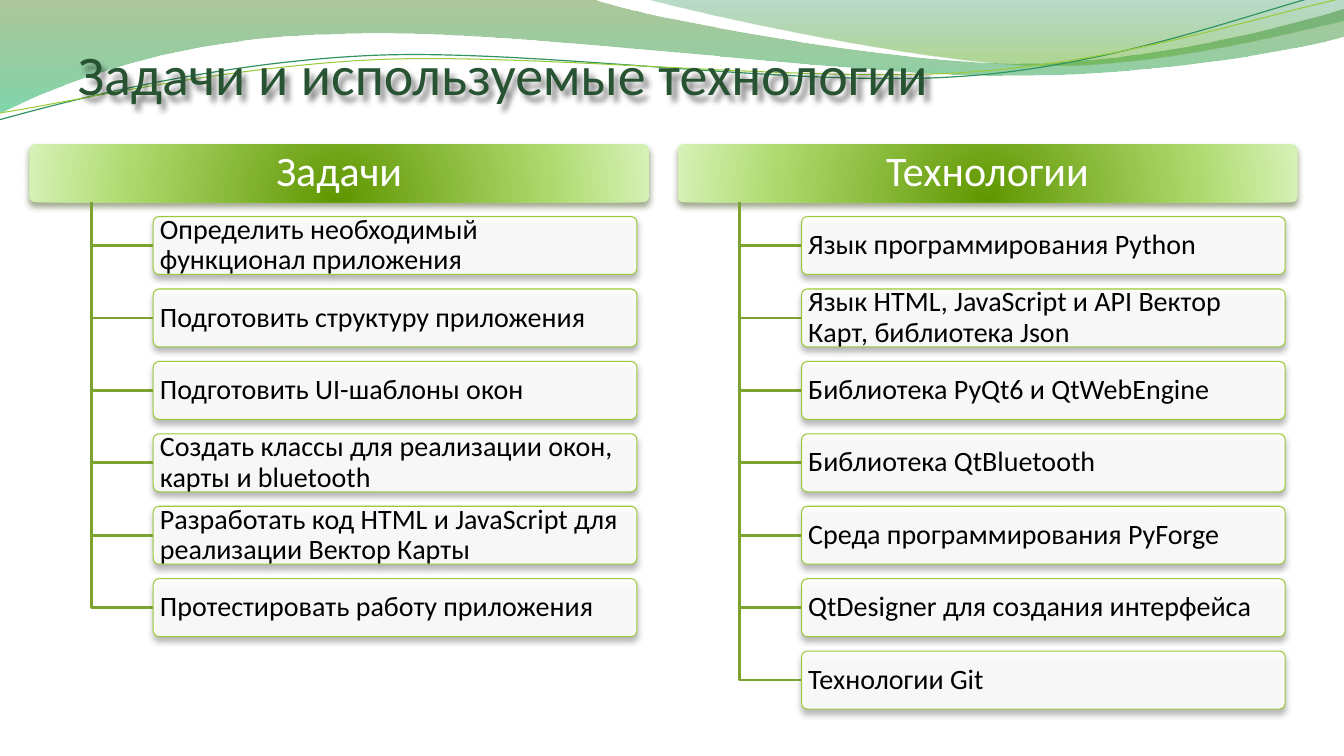
from math import cos, radians, sin

from lxml import etree
from pptx import Presentation
from pptx.dml.color import RGBColor
from pptx.enum.shapes import MSO_SHAPE as Shape
from pptx.enum.text import MSO_ANCHOR as Anchor, MSO_AUTO_SIZE as AutoSize, PP_ALIGN as Align
from pptx.oxml import parse_xml
from pptx.oxml.ns import qn
from pptx.util import Inches, Pt

TITLE = "Задачи и используемые технологии"
COLUMNS = [
    ("Задачи", [
        "Определить необходимый функционал приложения",
        "Подготовить структуру приложения",
        "Подготовить UI-шаблоны окон",
        "Создать классы для реализации окон, карты и bluetooth",
        "Разработать код HTML и JavaScript для реализации Вектор Карты",
        "Протестировать работу приложения",
    ]),
    ("Технологии", [
        "Язык программирования Python",
        "Язык HTML, JavaScript и API Вектор Карт, библиотека Json",
        "Библиотека PyQt6 и QtWebEngine",
        "Библиотека QtBluetooth",
        "Среда программирования PyForge",
        "QtDesigner для создания интерфейса",
        "Технологии Git",
    ]),
]

FONT = "Calibri"
WHITE = RGBColor(0xFF, 0xFF, 0xFF)
BLACK = RGBColor(0x00, 0x00, 0x00)
TITLE_GREEN = RGBColor(0x27, 0x53, 0x33)
BRANCH_GREEN = RGBColor(0x7B, 0xA3, 0x2D)
LIME = RGBColor(0x99, 0xCB, 0x38)
PINE = RGBColor(0x31, 0x93, 0x62)
HEADER_SHADOW = RGBColor(0x36, 0x49, 0x12)
ITEM_SHADOW = RGBColor(0x5A, 0x5A, 0x5A)

# Gradient stops: position %, colour, opacity %
HEADER_STOPS = [(0, RGBColor(0x60, 0x96, 0x00), 100),
                (68, RGBColor(0xAD, 0xDA, 0x6E), 100),
                (100, RGBColor(0xD5, 0xF1, 0xB5), 100)]
LEFT_WAVE_STOPS = [(0, RGBColor(0x48, 0x82, 0x21), 45),
                   (100, RGBColor(0x16, 0xB4, 0x65), 55)]
RIGHT_WAVE_STOPS = [(0, RGBColor(0x1C, 0x88, 0x52), 30),
                    (80, RGBColor(0x53, 0xA5, 0x1D), 45)]
LINEAR_DOWN = '<a:lin ang="5400000" scaled="1"/>'
FROM_CENTRE = ('<a:path path="circle"><a:fillToRect l="50000" t="130000" '
               'r="50000" b="-30000"/></a:path>')

# Outlines: one point is a line end, three points are a Bezier curve
LEFT_WAVE = [[(0, 0)], [(5.87, -0.01)], [(6.34, 0.17), (8.85, 0.63), (10.11, 0.63)],
             [(11.38, 0.63), (12.78, 0.26), (13.33, 0.09)], [(13.35, 0.36)],
             [(13.11, 0.44), (11.6, 0.76), (9.94, 0.75)],
             [(8.29, 0.75), (5.09, 0.28), (3.43, 0.34)],
             [(1.72, 0.36), (0.61, 0.83), (-0.01, 1.13)]]
RIGHT_WAVE = [[(6.39, -0.01)], [(6.79, 0.11), (9.09, 0.62), (10.25, 0.65)],
              [(11.41, 0.69), (12.82, 0.32), (13.33, 0.21)], [(13.33, 0)]]
PINE_CURVE = [[(-0.01, 1.19)], [(0.64, 1.01), (2.11, 0.62), (3.69, 0.55)],
              [(5.27, 0.48), (7.9, 0.87), (9.5, 0.76)],
              [(11.1, 0.66), (12.52, 0.08), (13.31, -0.1)]]
LIME_CURVE = [[(0, 1.12)], [(0.63, 1.03), (2.18, 0.66), (3.78, 0.59)],
              [(5.37, 0.53), (7.96, 0.82), (9.55, 0.72)],
              [(11.15, 0.62), (12.55, 0.14), (13.34, -0.02)]]
CURVE_TILT = -2.7
PINE_CENTRE, LIME_CENTRE = (6.65, 0.57), (6.67, 0.59)

COLUMN_LEFT, COLUMN_PITCH = 0.29, 6.43
HEADER_TOP, HEADER_WIDTH = 1.43, 6.15
ITEM_WIDTH = HEADER_WIDTH * 0.78
TRUNK_INDENT, ITEM_INDENT = HEADER_WIDTH / 10, HEADER_WIDTH / 5
LAST_ITEM_TOP = 6.46
ROW_PITCH = (LAST_ITEM_TOP - HEADER_TOP) / max(len(items) for _, items in COLUMNS)
BOX_HEIGHT = ROW_PITCH * 0.8

A_NS = 'xmlns:a="http://schemas.openxmlformats.org/drawingml/2006/main"'


def add_outline(slide, segments, closed=False):
    points = [(Inches(x), Inches(y)) for segment in segments for x, y in segment]
    builder = slide.shapes.build_freeform(*points[0])
    builder.add_line_segments(points[1:], close=closed)
    shape = builder.convert_to_shape()
    shape.shadow.inherit = False
    lines = list(shape._element.iter(qn("a:lnTo")))
    for segment in segments[1:]:
        parts, lines = lines[:len(segment)], lines[len(segment):]
        if len(segment) == 3:
            curve = etree.Element(qn("a:cubicBezTo"))
            parts[0].addprevious(curve)
            for part in parts:
                curve.append(part[0])
                part.getparent().remove(part)
    return shape


def add_wave(slide, segments, stops):
    wave = add_outline(slide, segments, closed=True)
    wave.line.fill.background()
    fill_gradient(wave, stops, LINEAR_DOWN)


def add_line(slide, segments, color, width):
    line = add_outline(slide, segments)
    line.fill.background()
    line.line.color.rgb = color
    line.line.width = Pt(width)
    return line


def add_tilted_curve(slide, segments, centre, color, width):
    """Level the curve about its centre, then tilt the finished shape."""
    cx, cy = centre
    c, s = cos(radians(-CURVE_TILT)), sin(radians(-CURVE_TILT))
    level = [[(cx + (x - cx) * c - (y - cy) * s, cy + (x - cx) * s + (y - cy) * c)
              for x, y in segment] for segment in segments]
    add_line(slide, level, color, width).rotation = CURVE_TILT


def fill_gradient(shape, stops, direction):
    stop_xml = "".join(
        f'<a:gs pos="{position * 1000}"><a:srgbClr val="{color}">'
        f'<a:alpha val="{opacity * 1000}"/></a:srgbClr></a:gs>'
        for position, color, opacity in stops)
    shape.fill.solid()
    solid = shape._element.spPr.find(qn("a:solidFill"))
    solid.getparent().replace(solid, parse_xml(
        f'<a:gradFill {A_NS} rotWithShape="1"><a:gsLst>{stop_xml}</a:gsLst>{direction}</a:gradFill>'))


def set_shadow(shape, color, blur, distance, angle):
    shape.shadow.inherit = False
    shape._element.spPr.find(qn("a:effectLst")).append(parse_xml(
        f'<a:outerShdw {A_NS} blurRad="{Pt(blur)}" dist="{Pt(distance)}" '
        f'dir="{angle * 60000}" rotWithShape="0"><a:srgbClr val="{color}">'
        '<a:alpha val="48000"/></a:srgbClr></a:outerShdw>'))


def format_text(frame, text, size, color, align, anchor, margins):
    frame.text = text
    frame.word_wrap = True
    frame.auto_size = AutoSize.NONE
    frame.vertical_anchor = anchor
    (frame.margin_left, frame.margin_top,
     frame.margin_right, frame.margin_bottom) = map(Inches, margins)
    paragraph = frame.paragraphs[0]
    paragraph.alignment = align
    font = paragraph.runs[0].font
    font.name, font.size, font.color.rgb = FONT, Pt(size), color
    return paragraph


def add_box(slide, left, top, width, text, size, color, align, shadow):
    box = slide.shapes.add_shape(Shape.ROUNDED_RECTANGLE, Inches(left), Inches(top),
                                 Inches(width), Inches(BOX_HEIGHT))
    box.adjustments[0] = 0.1
    set_shadow(box, shadow, 4.5, 3, 90)
    paragraph = format_text(box.text_frame, text, size, color, align,
                            Anchor.MIDDLE, (0.05, 0.04, 0.05, 0.04))
    paragraph.line_spacing = 0.9
    return box


def add_column(slide, left, header, items):
    box = add_box(slide, left, HEADER_TOP, HEADER_WIDTH, header, 30, WHITE,
                  Align.CENTER, HEADER_SHADOW)
    box.line.fill.background()
    fill_gradient(box, HEADER_STOPS, FROM_CENTRE)
    trunk, item_left = left + TRUNK_INDENT, left + ITEM_INDENT
    for row, item in enumerate(items, start=1):
        top = HEADER_TOP + row * ROW_PITCH
        middle = top + BOX_HEIGHT / 2
        add_line(slide, [[(trunk, HEADER_TOP + BOX_HEIGHT)], [(trunk, middle)],
                         [(item_left, middle)]], BRANCH_GREEN, 2)
        box = add_box(slide, item_left, top, ITEM_WIDTH, item, 20, BLACK, Align.LEFT, ITEM_SHADOW)
        box.fill.solid()
        box.fill.fore_color.rgb = WHITE
        color = box._element.spPr.find(qn("a:solidFill"))[0]
        etree.SubElement(color, qn("a:alpha"), val="90000")
        box.line.color.rgb = LIME
        box.line.width = Pt(0.75)


def add_title(slide):
    title = slide.shapes.title
    title.left, title.top = Inches(0.77), Inches(-0.19)
    title.width, title.height = Inches(12.11), Inches(1.25)
    format_text(title.text_frame, TITLE, 40, TITLE_GREEN, Align.LEFT,
                Anchor.BOTTOM, (0, 0.05, 0, 0))
    set_shadow(title, BLACK, 4, 4, 45)
    slide.shapes._spTree.append(title._element)  # bring to front


def main():
    presentation = Presentation()
    presentation.slide_width, presentation.slide_height = Inches(13.33), Inches(7.5)
    slide = presentation.slides.add_slide(presentation.slide_layouts[5])
    add_wave(slide, LEFT_WAVE, LEFT_WAVE_STOPS)
    add_wave(slide, RIGHT_WAVE, RIGHT_WAVE_STOPS)
    add_tilted_curve(slide, PINE_CURVE, PINE_CENTRE, PINE, 0.85)
    add_tilted_curve(slide, LIME_CURVE, LIME_CENTRE, LIME, 0.75)
    for index, (header, items) in enumerate(COLUMNS):
        add_column(slide, COLUMN_LEFT + index * COLUMN_PITCH, header, items)
    add_title(slide)
    presentation.save("out.pptx")


if __name__ == "__main__":
    main()
